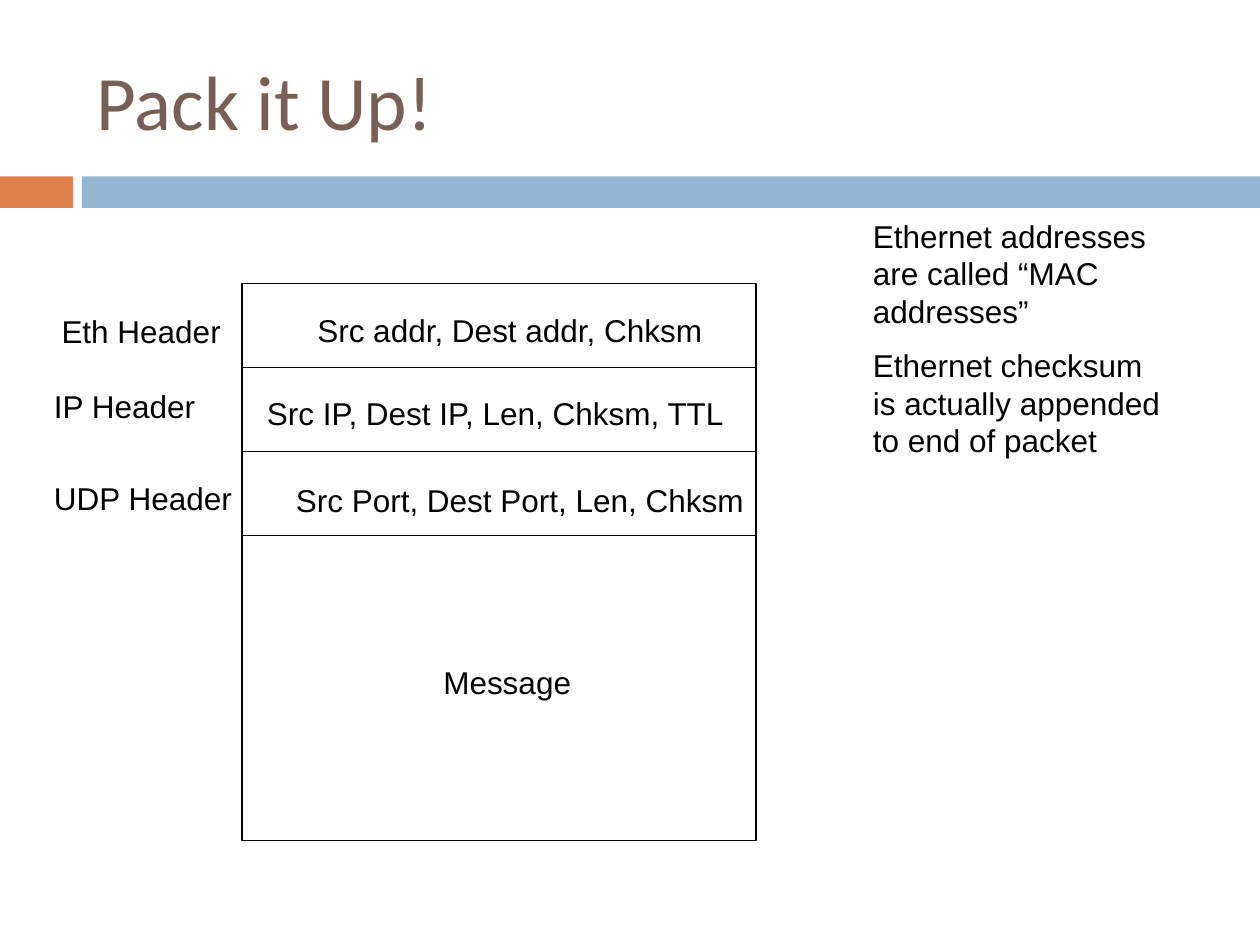
from pptx import Presentation
from pptx.dml.color import RGBColor
from pptx.enum import shapes, text
from pptx.util import Inches, Pt

COLORS = {"orange": "DD8047", "blue": "94B6D2", "title": "775F55", "black": "000000"}

TITLE = "Pack it Up!"
BANDS = [(0, 0.58, "orange"), (0.65, 9.35, "blue")]  # left, width, colour
PACKET_LEFT, PACKET_TOP, PACKET_WIDTH = 1.92, 2.25, 4.08
LAYER_HEIGHTS = [2 / 3, 2 / 3, 2 / 3, 2.42]
LABELS = [  # text, left, top, width
    ("Eth Header", 0.39, 2.43, 1.47),
    ("Src addr, Dest addr, Chksm", 2.42, 2.42, 3.28),
    ("IP Header", 0.33, 3.02, 1.33),
    ("Src IP, Dest IP, Len, Chksm, TTL", 2.02, 3.08, 3.9),
    ("UDP Header", 0.33, 3.75, 1.62),
    ("Src Port, Dest Port, Len, Chksm", 2.25, 3.77, 3.76),
    ("Message", 3.42, 5.21, 1.22),
]
NOTES = [
    "Ethernet addresses are called “MAC addresses”",
    "Ethernet checksum is actually appended to end of packet",
]


def rgb(name):
    return RGBColor.from_string(COLORS[name])


def add_rect(s, box, fill=None):
    """Filled band, or an unfilled black outline when no fill is given."""
    sp = s.shapes.add_shape(shapes.MSO_SHAPE.RECTANGLE, *map(Inches, box))
    sp.shadow.inherit = False
    if fill:
        sp.fill.solid()
        sp.fill.fore_color.rgb = rgb(fill)
        sp.line.fill.background()
    else:
        sp.fill.background()
        sp.line.color.rgb = rgb("black")
        sp.line.width = Pt(0.75)


def add_text(s, paragraphs, box, frame, size=18, name="Arial", color="black"):
    tf = s.shapes.add_textbox(*map(Inches, box)).text_frame
    for key, value in frame.items():
        setattr(tf, key, value)
    for i, words in enumerate(paragraphs):
        p = tf.add_paragraph() if i else tf.paragraphs[0]
        if i:
            p.space_before = Pt(size / 2)
        r = p.add_run()
        r.text = words
        for key, value in {"size": Pt(size), "name": name}.items():
            setattr(r.font, key, value)
        r.font.color.rgb = rgb(color)


def main():
    prs = Presentation()
    prs.slide_width, prs.slide_height = Inches(10), Inches(7.5)
    s = prs.slides.add_slide(prs.slide_layouts[6])

    for left, width, color in BANDS:
        add_rect(s, (left, 1.4, width, 0.25), color)
    add_text(s, [TITLE], (0.67, 0.25, 8.92, 1.08),
             {"word_wrap": True, "vertical_anchor": text.MSO_ANCHOR.MIDDLE},
             44, "Calibri", "title")

    top = PACKET_TOP
    for height in LAYER_HEIGHTS:
        add_rect(s, (PACKET_LEFT, top, PACKET_WIDTH, height))
        top += height

    grow = {"auto_size": text.MSO_AUTO_SIZE.SHAPE_TO_FIT_TEXT}
    for words, left, y, width in LABELS:
        add_text(s, [words], (left, y, width, 0.4), {**grow, "word_wrap": False})
    add_text(s, NOTES, (6.83, 1.67, 2.5, 2.07), {**grow, "word_wrap": True})

    prs.save("out.pptx")


if __name__ == "__main__":
    main()
